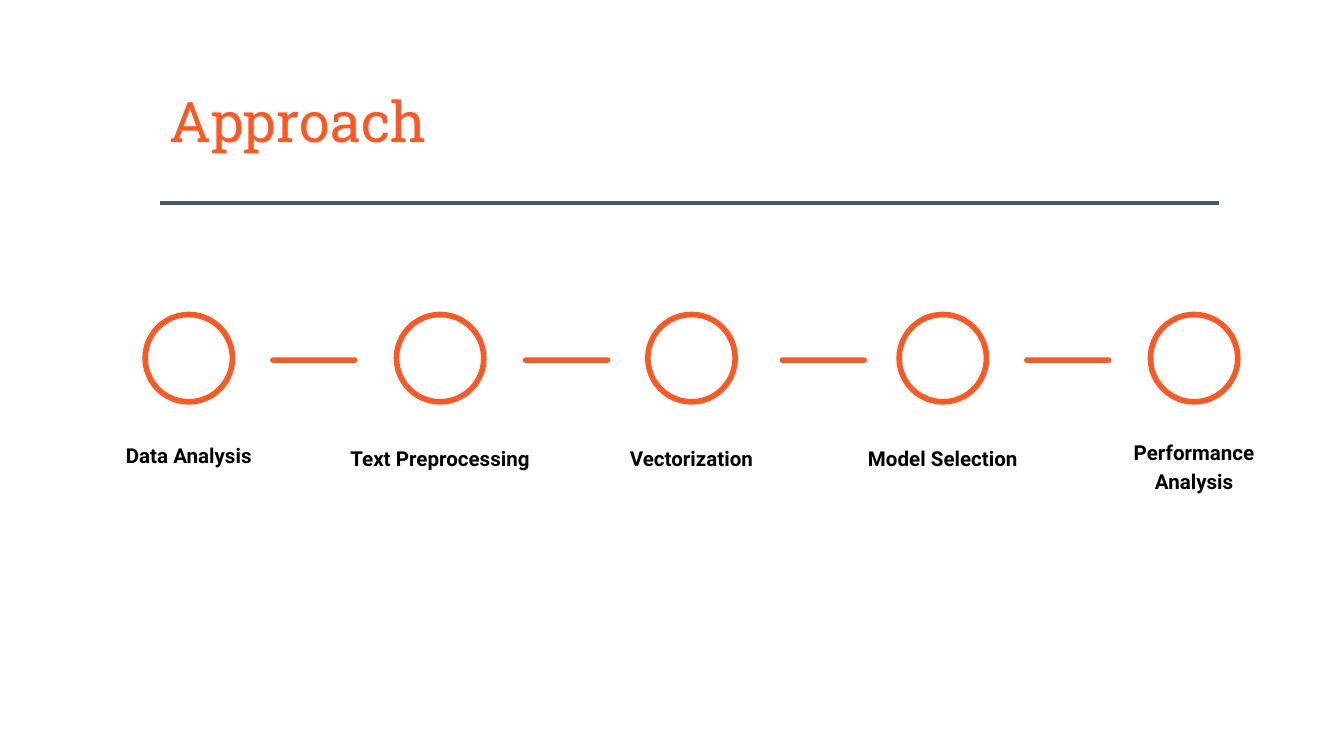
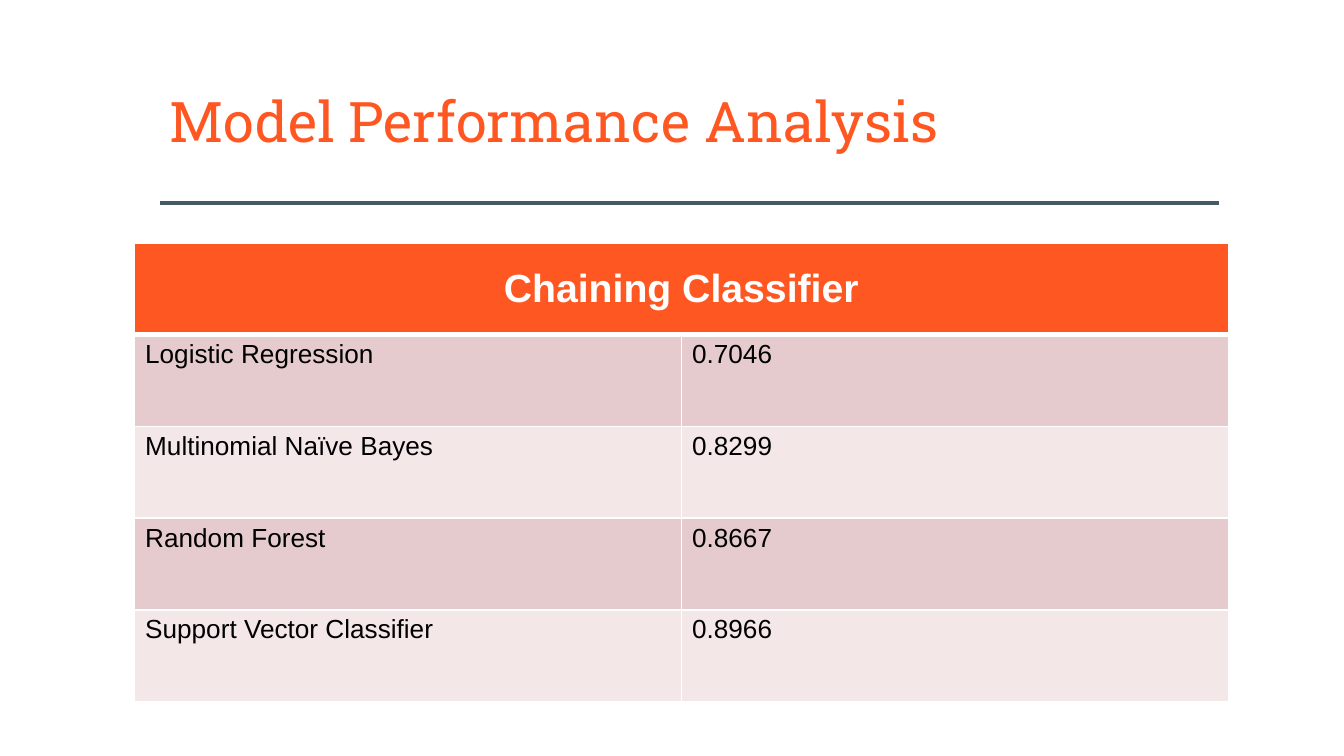
from dataclasses import dataclass

from lxml.etree import SubElement
from pptx import Presentation
from pptx.dml.color import RGBColor
from pptx.enum.shapes import MSO_CONNECTOR, MSO_SHAPE
from pptx.enum.text import MSO_ANCHOR, PP_ALIGN
from pptx.oxml.ns import qn
from pptx.table import _Cell
from pptx.util import Inches, Pt


@dataclass(frozen=True)
class Theme:
    accent: RGBColor = RGBColor.from_string("FF5722")
    rule: RGBColor = RGBColor.from_string("455A64")
    text: RGBColor = RGBColor.from_string("000000")
    white: RGBColor = RGBColor.from_string("FFFFFF")
    band_dark: RGBColor = RGBColor.from_string("E5CBCD")
    band_light: RGBColor = RGBColor.from_string("F3E7E8")
    title_size: int = 30
    header_size: int = 21
    body_size: int = 14
    label_size: int = 11


theme = Theme()


def write(holder, text, *, size, font="Arial", color=theme.text, bold=False,
          align=PP_ALIGN.LEFT, spacing=None, anchor=MSO_ANCHOR.TOP, inset=(0.1, 0.1)):
    """Fill a text box or table cell; inset is (sides, top and bottom) in inches."""
    tf = holder.text_frame
    frame = holder if isinstance(holder, _Cell) else tf
    frame.margin_left = frame.margin_right = Inches(inset[0])
    frame.margin_top = frame.margin_bottom = Inches(inset[1])
    frame.vertical_anchor = anchor
    tf.word_wrap = True
    p = tf.paragraphs[0]
    p.alignment = align
    p.line_spacing = spacing
    r = p.add_run()
    r.text = text
    r.font.size = Pt(size)
    r.font.name = font
    r.font.bold = bold
    r.font.color.rgb = color


def style_cell(cell, color, bottom=1):
    """Give a cell its fill and white borders; bottom is the lower border in points."""
    tc_pr = cell._tc.get_or_add_tcPr()
    for side, width in (("L", 1), ("R", 1), ("T", 1), ("B", bottom)):
        ln = SubElement(tc_pr, qn(f"a:ln{side}"), w=str(Pt(width)))
        fill = SubElement(ln, qn("a:solidFill"))
        SubElement(fill, qn("a:srgbClr"), val=str(theme.white))
    cell.fill.solid()
    cell.fill.fore_color.rgb = color


prs = Presentation()
prs.slide_width = Inches(10)
prs.slide_height = prs.slide_width * 9 // 16

# Shared title and rule
slides = []
for title in ("Approach", "Model Performance Analysis"):
    s = prs.slides.add_slide(prs.slide_layouts[6])
    rule = s.shapes.add_connector(
        MSO_CONNECTOR.STRAIGHT, Inches(1.19), Inches(1.51), Inches(9.07), Inches(1.51))
    rule.line.color.rgb = theme.rule
    rule.line.width = Pt(2.5)
    SubElement(rule._element.spPr, qn("a:effectLst"))
    box = s.shapes.add_textbox(Inches(1.19), Inches(0.66), Inches(7.88), Inches(0.86))
    write(box, title, size=theme.title_size, font="Roboto Slab",
          color=theme.accent, spacing=0.9, inset=(0.07, 0.04))
    slides.append(s)
approach, performance = slides

# Approach: five steps, each a ring with its label
steps = (("Data Analysis", 0.47), ("Text Preprocessing", 0.49), ("Vectorization", 0.49),
         ("Model Selection", 0.49), ("Performance Analysis", 0.66))
ring_size, label_width = 0.65, 1.68
for i, (label, height) in enumerate(steps):
    x = 1.08 + 1.87 * i
    step = approach.shapes.add_group_shape()
    ring = step.shapes.add_shape(
        MSO_SHAPE.OVAL, Inches(x), Inches(2.34), Inches(ring_size), Inches(ring_size))
    ring.shadow.inherit = False
    ring.fill.background()
    ring.line.color.rgb = theme.accent
    ring.line.width = Pt(3)
    box = step.shapes.add_textbox(Inches(x + (ring_size - label_width) / 2), Inches(3.11),
                                  Inches(label_width), Inches(height))
    write(box, label, size=theme.label_size, font="Roboto", bold=True,
          align=PP_ALIGN.CENTER, spacing=1.15, anchor=MSO_ANCHOR.BOTTOM)

for x in (2.01, 3.89, 5.8, 7.62):
    dash = approach.shapes.add_shape(
        MSO_SHAPE.ROUNDED_RECTANGLE, Inches(x), Inches(2.66), Inches(0.65), Inches(0.04))
    dash.adjustments[0] = 0.5
    dash.shadow.inherit = False
    dash.fill.solid()
    dash.fill.fore_color.rgb = theme.accent
    dash.line.fill.background()

# Model performance: scores under a merged header
scores = (("Logistic Regression", "0.7046"), ("Multinomial Naïve Bayes", "0.8299"),
          ("Random Forest", "0.8667"), ("Support Vector Classifier", "0.8966"))
table = performance.shapes.add_table(
    len(scores) + 1, 2, Inches(1), Inches(1.81), Inches(8.14), Inches(3.41)).table

header = table.cell(0, 0)
header.merge(table.cell(0, 1))
for cell in table.rows[0].cells:
    style_cell(cell, theme.accent, bottom=3)
write(header, "Chaining Classifier", size=theme.header_size, color=theme.white, bold=True,
      align=PP_ALIGN.CENTER, anchor=MSO_ANCHOR.MIDDLE, inset=(0.08, 0.04))

for i, values in enumerate(scores, start=1):
    for j, value in enumerate(values):
        cell = table.cell(i, j)
        style_cell(cell, theme.band_dark if i % 2 else theme.band_light)
        write(cell, value, size=theme.body_size, inset=(0.08, 0.04))

prs.save("out.pptx")
